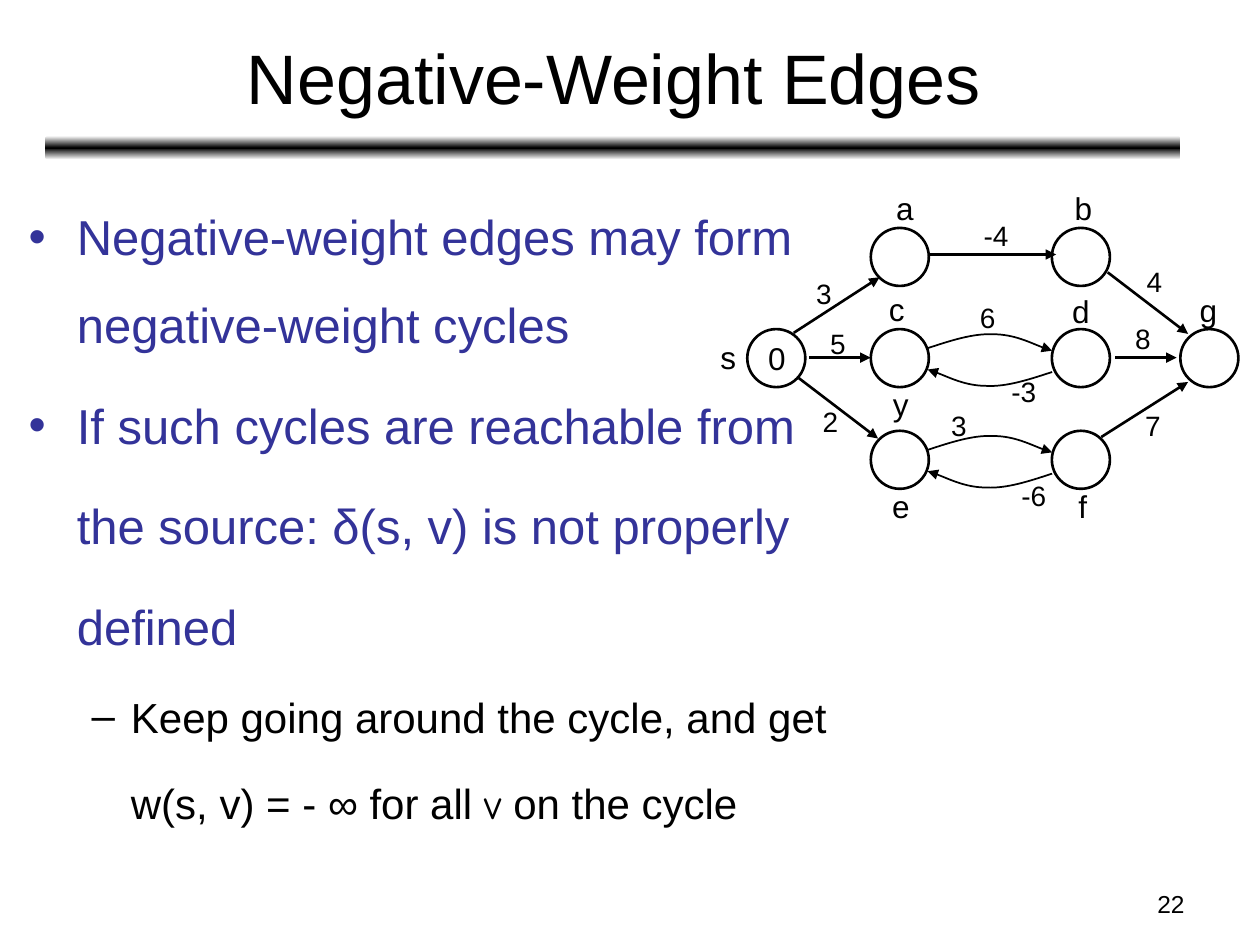
from copy import deepcopy

from lxml.etree import SubElement
from pptx import Presentation
from pptx.dml.color import RGBColor
from pptx.enum.shapes import MSO_CONNECTOR as Link, MSO_SHAPE as Shape
from pptx.enum.text import MSO_ANCHOR as Anchor, PP_ALIGN as Align
from pptx.oxml.ns import qn
from pptx.util import Cm, Pt

COLORS = {"black": "000000", "white": "FFFFFF", "indigo": "333399"}

# Graph grid in cm: columns of node centres, and the three rows
SOURCE, LEFT, RIGHT, TARGET = 15.65, 18.14, 21.79, 24.38
TOP, MIDDLE, BOTTOM = 5.18, 7.22, 9.27
NODES = [(SOURCE, MIDDLE, "0"), (TARGET, MIDDLE, "")] + [
    (column, row, "") for row in (TOP, MIDDLE, BOTTOM) for column in (LEFT, RIGHT)]

EDGES = [
    (18.72, 5.13, 21.29, 5.13), (16, 6.71, 17.73, 5.59),
    (16.1, 7.62, 17.7, 8.84), (22.33, 5.49, 23.95, 6.73),
    (22.2, 8.81, 23.95, 7.7), (16.31, 7.21, 17.55, 7.21),
    (22.48, 7.21, 23.72, 7.21),
]
# Bezier points of a rightward arc, relative to its start; negated for the way back
ARC = [(0.46, -0.15), (0.91, -0.3), (1.32, -0.28),
       (1.75, -0.28), (2.31, 0), (2.51, 0.05)]

WEIGHTS = [
    ("3", 16.61, 5.91), ("-4", 20.08, 4.74), ("2", 16.74, 8.5), ("8", 23.04, 6.82),
    ("-6", 20.84, 9.99), ("-3", 20.64, 7.89), ("3", 19.33, 8.57), ("5", 16.89, 6.92),
    ("6", 19.91, 6.39), ("4", 23.27, 5.68), ("7", 23.24, 8.57),
]
NAMES = [
    ("s", 14.68, 7.19), ("a", 18.24, 4.19), ("b", 21.84, 4.19), ("e", 18.16, 10.19),
    ("f", 21.83, 10.19), ("y", 18.16, 8.15), ("c", 18.08, 6.22), ("d", 21.79, 6.27),
    ("g", 24.36, 6.25),
]
# Level, bullet, spans of text
BODY = [
    (0, "•", ["Negative-weight edges may form negative-weight cycles"]),
    (0, "•", ["If such cycles are reachable from"]),
    (0, "", ["the source: δ(s, v) is not properly"]),
    (0, "", ["defined"]),
    (1, "–", ["Keep going around the cycle, and get"]),
    (1, "", ["w(s, v) = - ∞ for all ", "v", " on the cycle"]),
]
# Size, colour, space before, left indent and hanging indent of each level
LEVELS = [(28, "indigo", 7, 0.97, 0.97), (24, "black", 6, 2.06, 0.79)]


class SlidePainter:
    font = "Arial"
    accent_font = "Comic Neue"
    node_size = 1.17

    def __init__(self, slide):
        self.shapes = slide.shapes

    def style_span(self, span, size, color="black", font=None):
        span.font.name = font or self.font
        span.font.size = Pt(size)
        span.font.color.rgb = RGBColor.from_string(COLORS[color])

    def style_line(self, shape, width, arrow=False):
        shape.line.color.rgb = RGBColor.from_string(COLORS["black"])
        shape.line.width = Pt(width)
        if arrow:
            outline = shape.line._get_or_add_ln()
            SubElement(outline, qn("a:tailEnd"), type="triangle")

    def text(self, content, left, top, width, height, size,
             align=Align.CENTER, wrap=True):
        box = self.shapes.add_textbox(Cm(left), Cm(top), Cm(width), Cm(height))
        frame = box.text_frame
        frame.word_wrap = wrap
        frame.vertical_anchor = Anchor.MIDDLE
        frame.text = content
        para = frame.paragraphs[0]
        para.alignment = align
        self.style_span(para.runs[0], size)

    def label(self, content, center_x, center_y, size):
        width, height = 1.3, 1
        self.text(content, center_x - width / 2, center_y - height / 2,
                  width, height, size, wrap=False)

    def body(self, left, top, width, height):
        box = self.shapes.add_textbox(Cm(left), Cm(top), Cm(width), Cm(height))
        frame = box.text_frame
        frame.word_wrap = True
        for index, (level, bullet, pieces) in enumerate(BODY):
            size, color, space, indent, hanging = LEVELS[level]
            para = frame.add_paragraph() if index else frame.paragraphs[0]
            para.level = level
            para.line_spacing = 1.5
            para.space_before = Pt(space)
            for piece in pieces:
                span = para.add_run()
                span.text = piece
                font = self.accent_font if piece == "v" else self.font
                self.style_span(span, size, color, font)
            properties = para._p.get_or_add_pPr()
            properties.set("marL", str(Cm(indent)))
            properties.set("indent", str(-Cm(hanging) if bullet else 0))
            if bullet:
                SubElement(properties, qn("a:buFont"), typeface=self.font)
                SubElement(properties, qn("a:buChar"), char=bullet)
            else:
                SubElement(properties, qn("a:buNone"))

    def gradient_bar(self, left, top, width, height):
        bar = self.shapes.add_shape(Shape.ROUNDED_RECTANGLE, Cm(left), Cm(top),
                                    Cm(width), Cm(height))
        bar.shadow.inherit = False
        bar.line.fill.background()
        bar.fill.gradient()
        bar.fill.gradient_angle = 90
        stops = bar._element.spPr.find(qn("a:gradFill")).find(qn("a:gsLst"))
        stops.insert(1, deepcopy(stops[0]))
        for stop, color, place in zip(bar.fill.gradient_stops,
                                      ("white", "black", "white"), (0, 0.5, 1)):
            stop.color.rgb = RGBColor.from_string(COLORS[color])
            stop.position = place

    def node(self, center_x, center_y, content):
        size = self.node_size
        circle = self.shapes.add_shape(Shape.OVAL, Cm(center_x - size / 2),
                                       Cm(center_y - size / 2), Cm(size), Cm(size))
        circle.shadow.inherit = False
        circle.fill.background()
        self.style_line(circle, 1.5)
        if content:
            frame = circle.text_frame
            frame.word_wrap = False
            frame.text = content
            self.style_span(frame.paragraphs[0].runs[0], 18)

    def edge(self, *ends):
        line = self.shapes.add_connector(Link.STRAIGHT, *map(Cm, ends))
        self.style_line(line, 1.5, arrow=True)
        SubElement(line._element.spPr, qn("a:effectLst"))

    def arc(self, start_x, start_y, direction):
        points = [(Cm(start_x + direction * x), Cm(start_y + direction * y))
                  for x, y in ARC]
        builder = self.shapes.build_freeform(Cm(start_x), Cm(start_y))
        builder.add_line_segments(points, close=False)
        curve = builder.convert_to_shape()
        curve.shadow.inherit = False
        curve.fill.background()
        self.style_line(curve, 1, arrow=True)
        # Turn each three line points into one cubic segment
        outline = next(curve._element.iter(qn("a:path")))
        segments = outline.findall(qn("a:lnTo"))
        for first in range(0, len(segments), 3):
            cubic = SubElement(outline, qn("a:cubicBezTo"))
            for segment in segments[first:first + 3]:
                cubic.append(segment[0])
                outline.remove(segment)


def main():
    deck = Presentation()
    deck.slide_width, deck.slide_height = Cm(25.4), Cm(19.05)
    page = SlidePainter(deck.slides.add_slide(deck.slide_layouts[6]))

    # Heading, rule, body and page number
    page.gradient_bar(0.91, 2.74, 22.89, 0.48)
    page.text("22", 18.21, 17.78, 5.92, 0.89, 14, Align.RIGHT)
    page.text("Negative-Weight Edges", 0.94, 0.28, 22.86, 2.51, 40)
    page.body(0.33, 3.45, 19.91, 14.1)

    # Graph
    for node in NODES:
        page.node(*node)
    for edge in EDGES:
        page.edge(*edge)
    for row in (MIDDLE, BOTTOM):
        page.arc(18.7, row - 0.2, 1)
        page.arc(21.21, row + 0.28, -1)
    for labels, size in ((WEIGHTS, 16), (NAMES, 18)):
        for label in labels:
            page.label(*label, size)

    deck.save("out.pptx")


if __name__ == "__main__":
    main()
